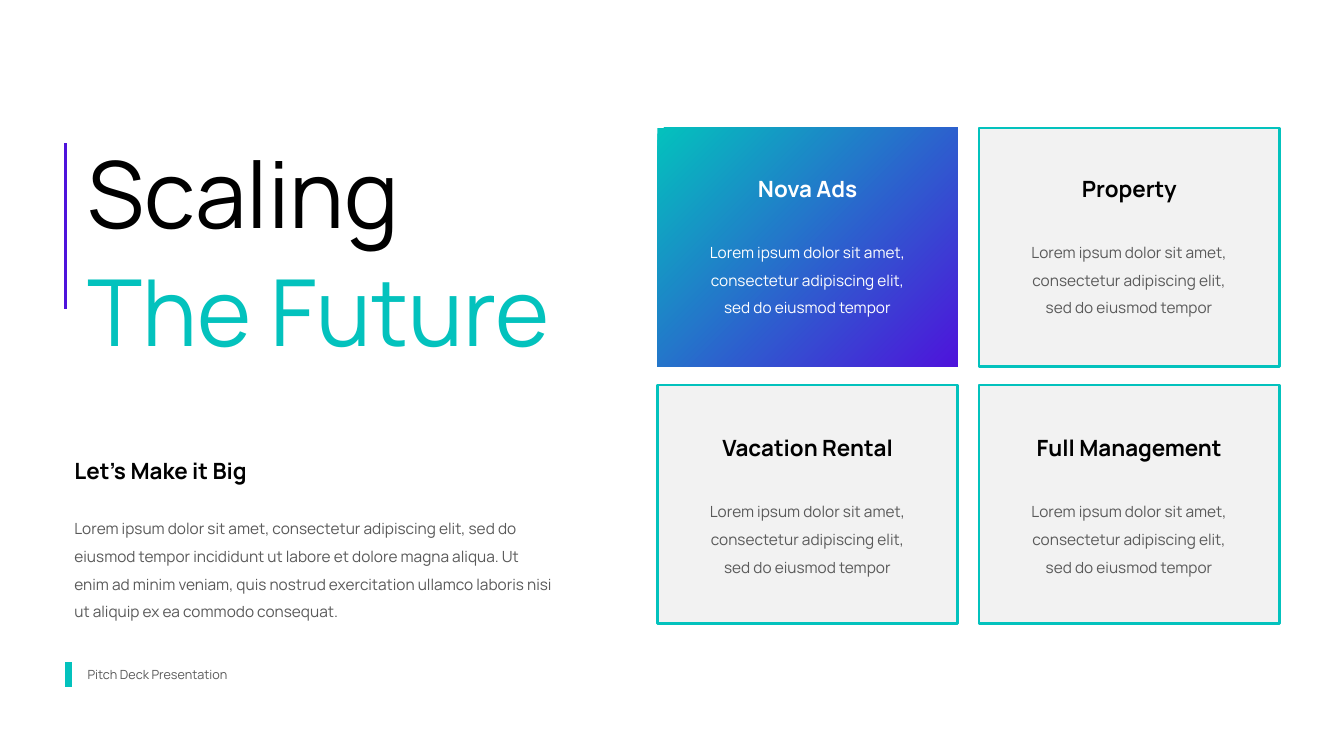
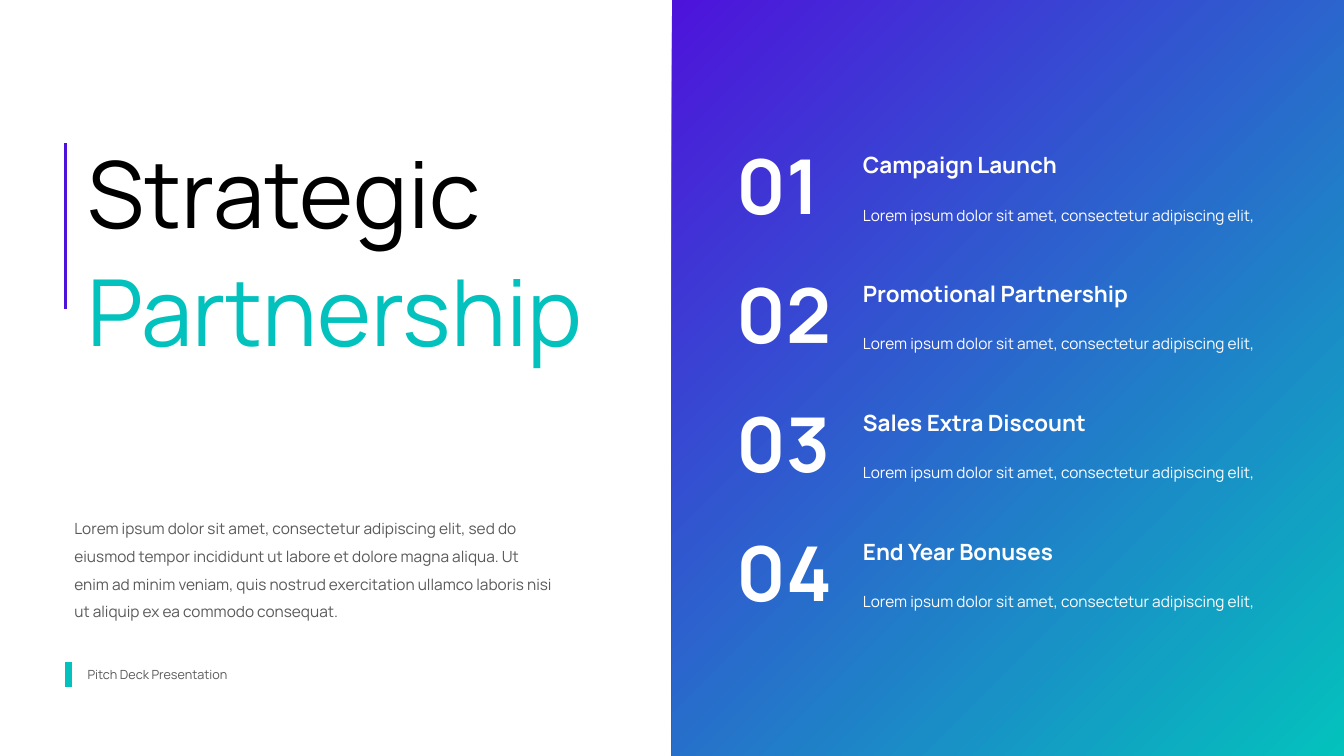
"""Two pitch deck slides: a card grid and a numbered list beside a shared title column."""
import pptx
import pptx.util
import pptx.dml.color
import pptx.enum.shapes
import pptx.enum.text
import pptx.oxml

COLORS = {"teal": "03C2BD", "violet": "4E13DB", "black": "000000",
          "gray": "595959", "pale": "F2F2F2", "white": "FFFFFF"}
RGB = {name: pptx.dml.color.RGBColor.from_string(c) for name, c in COLORS.items()}
RECT = pptx.enum.shapes.MSO_SHAPE.RECTANGLE
LEFT = pptx.enum.text.PP_ALIGN.LEFT
CENTER = pptx.enum.text.PP_ALIGN.CENTER
LOREM = "Lorem ipsum dolor sit amet, consectetur adipiscing elit,"

prs = pptx.Presentation()
prs.slide_width = pptx.util.Inches(13.33)
prs.slide_height = pptx.util.Inches(7.5)
COL = prs.slide_width / 100
ROW = prs.slide_height / 100


def add_text(s, x, y, w, h, lines, size, bold=False, align=LEFT, spacing=1.0):
    sp = s.shapes.add_textbox(int(x * COL), int(y * ROW), int(w * COL), int(h * ROW))
    tf = sp.text_frame
    tf.text = "\n".join(line for line, color in lines)
    tf.word_wrap = True
    tf.auto_size = pptx.enum.text.MSO_AUTO_SIZE.SHAPE_TO_FIT_TEXT
    for p, (line, color) in zip(tf.paragraphs, lines):
        p.alignment = align
        p.line_spacing = spacing
        for r in p.runs:
            r.font.name = "Manrope"
            r.font.size = pptx.util.Pt(size)
            r.font.bold = bold
            r.font.color.rgb = RGB[color]


def add_bar(s, x, top, bottom, color, width):
    cx = s.shapes.add_connector(pptx.enum.shapes.MSO_CONNECTOR.STRAIGHT,
                                int(x * COL), int(top * ROW), int(x * COL), int(bottom * ROW))
    cx.line.color.rgb = RGB[color]
    cx.line.width = pptx.util.Pt(width)
    cx._element.spPr.append(pptx.oxml.parse_xml(
        '<a:effectLst xmlns:a="http://schemas.openxmlformats.org/drawingml/2006/main"/>'))


slides = []
for title in [("Scaling", "The Future"), ("Strategic", "Partnership")]:
    s = prs.slides.add_slide(prs.slide_layouts[6])
    add_text(s, 5.78, 87.6, 16, 3.33, [("Pitch Deck Presentation", "gray")], 9)
    add_bar(s, 5.1, 87.6, 90.93, "teal", 5.25)
    add_text(s, 5.78, 16.53, 39, 31.87, list(zip(title, ("black", "teal"))), 66, spacing=1.06)
    add_bar(s, 4.88, 18.93, 40.93, "violet", 2)
    add_text(s, 4.8, 66.8, 37.28, 15.73,
             [(LOREM + " sed do eiusmod tempor incididunt ut labore et dolore magna aliqua. "
               "Ut enim ad minim veniam, quis nostrud exercitation ullamco laboris nisi "
               "ut aliquip ex ea commodo consequat.", "gray")], 11, spacing=1.5)
    slides.append(s)

s = slides[0]
add_text(s, 4.8, 59.87, 25, 4.93, [("Let’s Make it Big", "black")], 16, bold=True)
gradients = []
for i, name in enumerate(["Nova Ads", "Property", "Vacation Rental", "Full Management"]):
    row, col = divmod(i, 2)
    x = 48.91 + 23.93 * col
    y = 16.93 + 34 * row
    sp = s.shapes.add_shape(RECT, int(x * COL), int(y * ROW), int(22.36 * COL), int(31.6 * ROW))
    if i == 0:
        gradients.append((sp, "teal", "violet"))
    else:
        sp.shadow.inherit = False
        sp.fill.solid()
        sp.fill.fore_color.rgb = RGB["pale"]
        sp.line.color.rgb = RGB["teal"]
        sp.line.width = pptx.util.Pt(2)
    head, body = ("white", "white") if i == 0 else ("black", "gray")
    text_y = 22.53 + 34.27 * row
    add_text(s, x, text_y, 22.36, 4.93, [(name, head)], 16, bold=True, align=CENTER)
    add_text(s, x + 2.51, text_y + 7.74, 17.33, 12.13,
             [(LOREM + " sed do eiusmod tempor", body)], 11, align=CENTER, spacing=1.5)

s = slides[1]
panel = s.shapes.add_shape(RECT, int(50 * COL), 0, int(50 * COL), prs.slide_height)
gradients.append((panel, "violet", "teal"))
for i, name in enumerate(["Campaign Launch", "Promotional Partnership",
                          "Sales Extra Discount", "End Year Bonuses"]):
    y = 17.05 * i
    add_text(s, 54.09, 17.7 + y, 9.2, 13.47, [(f"{i + 1:02}", "white")], 54, bold=True)
    add_text(s, 63.47, 19.33 + y, 31.73, 4.93, [(name, "white")], 16, bold=True)
    add_text(s, 63.47, 25.33 + y, 31.73, 3.87, [(LOREM, "white")], 11, spacing=1.5)

for sp, start, end in gradients:
    sp.shadow.inherit = False
    sp.line.fill.background()
    sp.fill.gradient()
    sp.fill.gradient_angle = 315
    for stop, color in zip(sp.fill.gradient_stops, (start, end)):
        stop.color.rgb = RGB[color]

prs.save("out.pptx")
